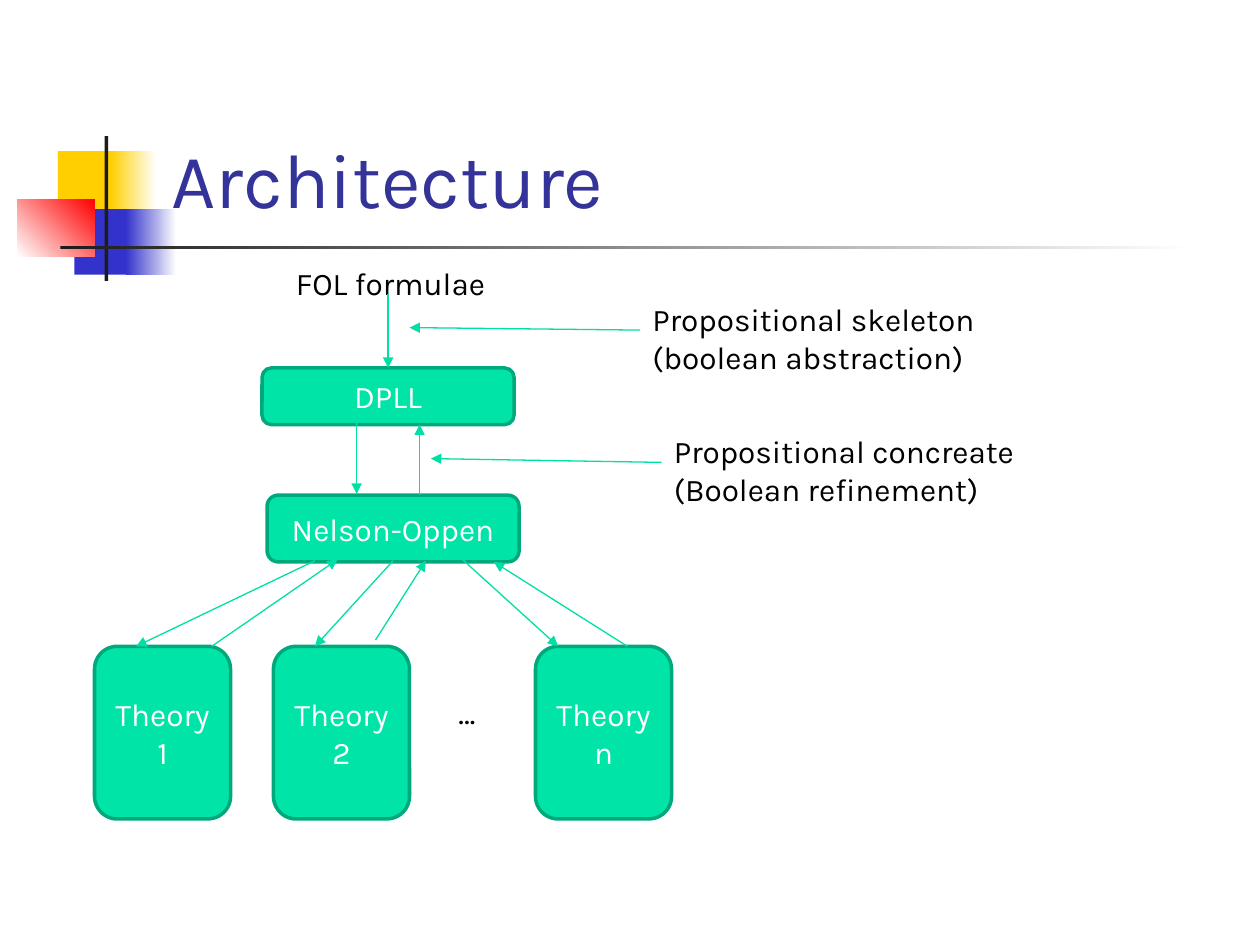
from dataclasses import dataclass
from lxml import etree
from pptx import Presentation
from pptx.dml.color import RGBColor
from pptx.enum.shapes import MSO_CONNECTOR, MSO_SHAPE
from pptx.enum.text import MSO_ANCHOR, MSO_AUTO_SIZE, PP_ALIGN
from pptx.oxml.ns import qn
from pptx.util import Inches, Pt

RECT, ROUND = MSO_SHAPE.RECTANGLE, MSO_SHAPE.ROUNDED_RECTANGLE
STRAIGHT = MSO_CONNECTOR.STRAIGHT
LEFT, CENTER = PP_ALIGN.LEFT, PP_ALIGN.CENTER
TOP, MIDDLE, BOTTOM = MSO_ANCHOR.TOP, MSO_ANCHOR.MIDDLE, MSO_ANCHOR.BOTTOM


@dataclass(frozen=True)
class Theme:
    font: str = "Karla"
    head: int = 44
    body: int = 18
    title: str = "333399"
    ink: str = "000000"
    white: str = "FFFFFF"
    gold: str = "FFCF01"
    blue: str = "3333CC"
    red: str = "FF0000"
    dark: str = "1C1C1C"
    fill: str = "00E4A8"
    edge: str = "00A97C"
    arrow: str = "00DFA4"
    border: float = 2
    thin: float = 0.75


T = Theme()

TITLE = "Architecture"
DECOR = [
    ((0.46, 1.2, 0.48, 0.52), (T.gold,), 0),
    ((0.88, 1.2, 0.36, 0.52), (T.gold, T.white), 0),
    ((0.59, 1.66, 0.46, 0.52), (T.blue,), 0),
    ((1, 1.66, 0.4, 0.52), (T.blue, T.white), 0),
    ((0.14, 1.58, 0.61, 0.46), (T.white, T.red), 45),
    ((0.83, 1.08, 0.03, 1.15), (T.dark,), 0),
    ((0.48, 1.95, 9, 0.03), (T.dark, T.white), 0),
]
STAGES = [
    ((2.08, 2.92, 2, 0.45), ["DPLL"]),
    ((2.12, 3.93, 2, 0.53), ["Nelson-Oppen"]),
]
THEORIES = [(0.75, "1"), (2.17, "2"), (4.25, "n")]
ROW, WIDE, HIGH = 5.13, 1.08, 1.37
LABELS = [
    ((2.25, 2.05, 1.92, 0.4), ["FOL formulae"]),
    ((5.08, 2.33, 3.17, 0.71), ["Propositional skeleton (boolean abstraction)"]),
    ((5.25, 3.38, 3, 0.71), ["Propositional concreate", "(Boolean refinement)"]),
    ((3.54, 5.45, 1.42, 0.4), ["…"]),
]
ARROWS = [
    (3.08, 2.33, 3.08, 2.92),
    (2.83, 3.33, 2.83, 3.92),
    (3.33, 3.93, 3.33, 3.37),
    (5.08, 2.62, 3.25, 2.6),
    (5.25, 3.67, 3.42, 3.64),
    (2.5, 4.45, 1.08, ROW),
    (3.12, 4.45, 2.5, ROW),
    (3.67, 4.44, 4.43, ROW),
    (2.98, 5.08, 3.38, 4.45),
    (1.68, ROW, 2.68, 4.44),
    (4.98, ROW, 3.92, 4.46),
]


def rgb(tone):
    return RGBColor.from_string(tone)


def inch(nums):
    return [Inches(n) for n in nums]


def write(shape, lines, size, tone, align, anchor):
    frame = shape.text_frame
    frame.word_wrap = True
    frame.auto_size = MSO_AUTO_SIZE.NONE
    frame.vertical_anchor = anchor
    for i, line in enumerate(lines):
        para = frame.add_paragraph() if i else frame.paragraphs[0]
        para.alignment = align
        run = para.add_run()
        run.text = line
        run.font.name = T.font
        run.font.size = Pt(size)
        run.font.color.rgb = rgb(tone)


def paint(shape, tones, angle=0):
    shape.shadow.inherit = False
    if len(tones) == 1:
        shape.fill.solid()
        shape.fill.fore_color.rgb = rgb(tones[0])
        return
    shape.fill.gradient()
    shape.fill.gradient_angle = angle
    for stop, tone in zip(shape.fill.gradient_stops, tones):
        stop.color.rgb = rgb(tone)


def add_box(shapes, place, lines):
    box = shapes.add_shape(ROUND, *inch(place))
    paint(box, (T.fill,))
    box.line.color.rgb = rgb(T.edge)
    box.line.width = Pt(T.border)
    write(box, lines, T.body, T.white, CENTER, MIDDLE)


def add_arrow(shapes, ends):
    line = shapes.add_connector(STRAIGHT, *inch(ends))
    line.line.color.rgb = rgb(T.arrow)
    line.line.width = Pt(T.thin)
    props = line._element.spPr
    etree.SubElement(props.find(qn("a:ln")), qn("a:tailEnd"), type="triangle")
    etree.SubElement(props, qn("a:effectLst"))


deck = Presentation()
deck.slide_width, deck.slide_height = Inches(10), Inches(7.5)
slide = deck.slides.add_slide(deck.slide_layouts[5])
shapes = slide.shapes

for place, tones, angle in DECOR:
    part = shapes.add_shape(RECT, *inch(place))
    paint(part, tones, angle)
    part.line.fill.background()

title = shapes.title
title.left, title.top, title.width, title.height = inch((1.26, 0.23, 8.52, 1.6))
write(title, [TITLE], T.head, T.title, LEFT, BOTTOM)
shapes._spTree.append(title._element)

for place, lines in STAGES:
    add_box(shapes, place, lines)
for x, name in THEORIES:
    add_box(shapes, (x, ROW, WIDE, HIGH), ["Theory", name])
for place, lines in LABELS:
    label = shapes.add_textbox(*inch(place))
    write(label, lines, T.body, T.ink, LEFT, TOP)
for ends in ARROWS:
    add_arrow(shapes, ends)

deck.save("out.pptx")
